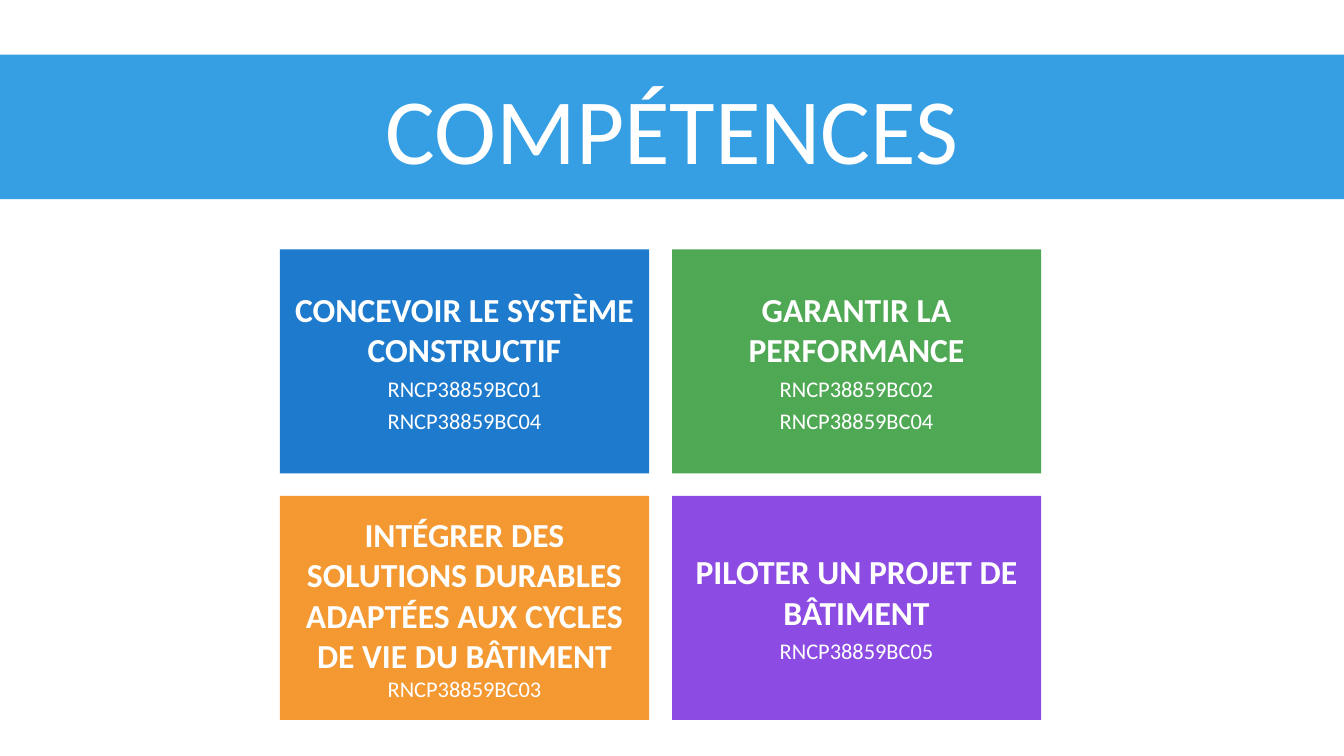
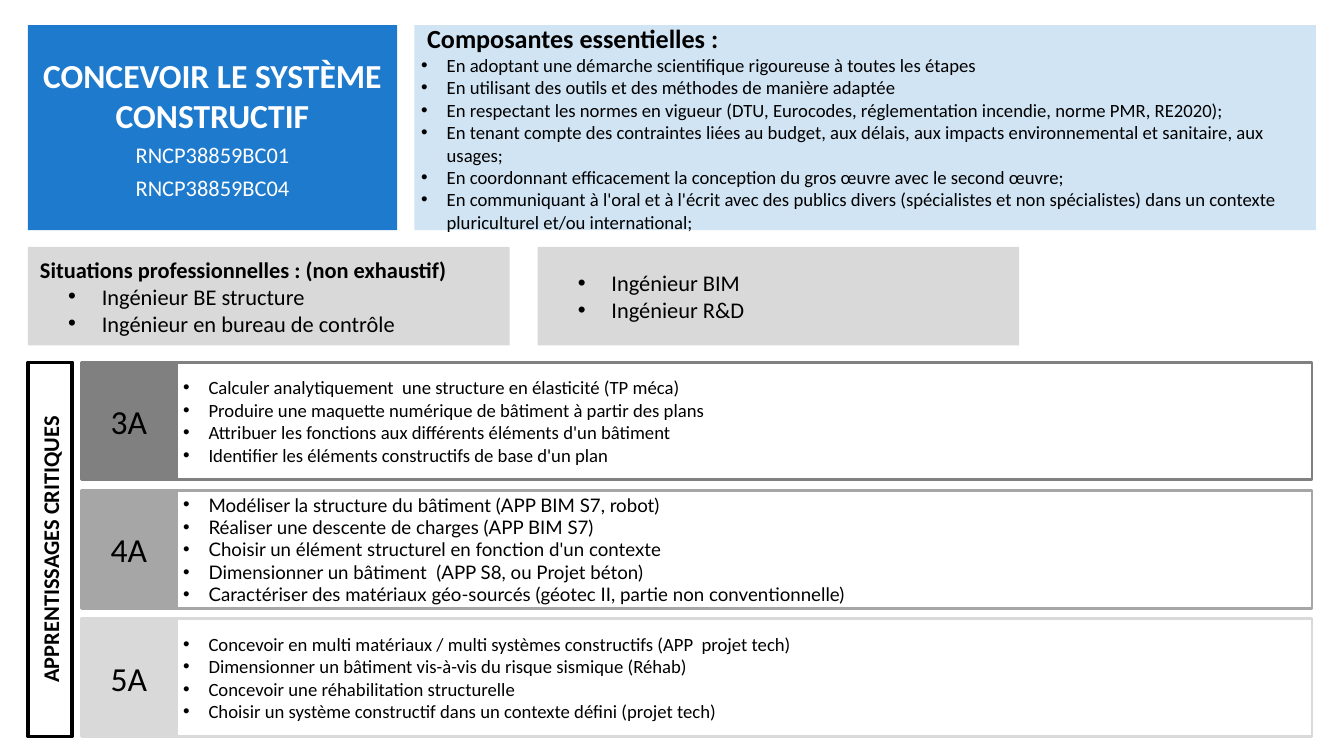
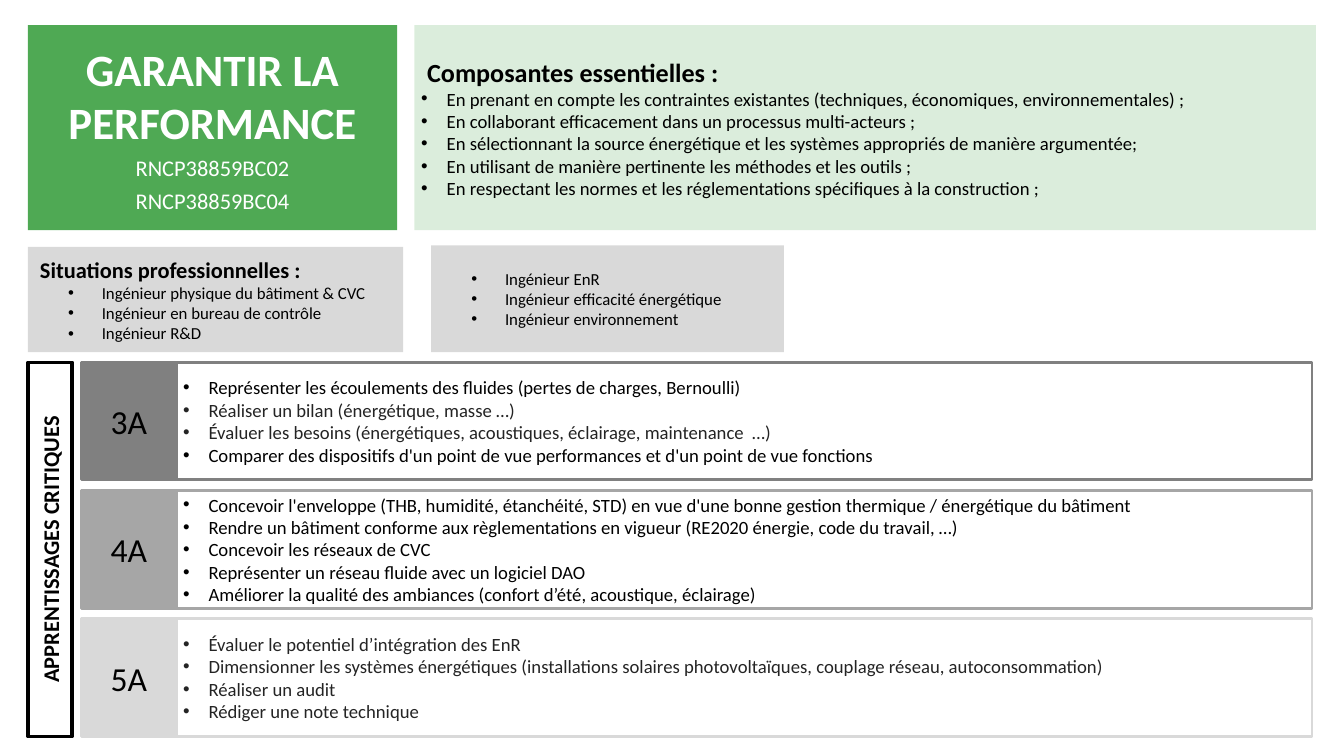
import lxml.etree
import pptx
import pptx.dml.color
import pptx.enum.shapes
import pptx.enum.text
import pptx.oxml.ns
import pptx.util

# Shared look: lengths are cells of a 240 x 135 grid
COLUMNS, ROWS = 240, 135
WIDTH, HEIGHT = pptx.util.Inches(20), pptx.util.Inches(11.25)
WHITE, BLACK, INK = "FFFFFF", "000000", "242424"
BAND, BLUE, GREEN, ORANGE, PURPLE = "369FE3", "1D7ACC", "4FA954", "F49831", "8C4BE2"
PANEL = "D9D9D9"
YEAR_COLORS = {"3A": "808080", "4A": "A6A6A6", "5A": PANEL}
CARD_WIDTH, CARD_HEIGHT = 65.9, 40
LEFT_EDGE = 5
YEARS_TOP, YEAR_HEIGHT, YEAR_STEP = 64.7, 21, 22.9

CENTER = pptx.enum.text.PP_ALIGN.CENTER
LEFT = pptx.enum.text.PP_ALIGN.LEFT

# Each style: size, bold, colour, alignment, space after, left margin, indent, bullet
STYLES = {
    "banner": dict(size=100, color=WHITE, align=CENTER),
    "skill": dict(size=36, bold=True, color=WHITE, align=CENTER, after=6),
    "code": dict(size=24, color=WHITE, align=CENTER, after=6),
    "essentials": dict(size=28, bold=True, margin=0.09),
    "situations": dict(size=24, bold=True, margin=0.08),
    "item": dict(size=20, margin=0.38, indent=-0.38, bullet="•"),
    "job": dict(size=24, margin=1, indent=-0.5, bullet="•"),
    "year": dict(size=36, align=CENTER),
    "side": dict(size=24, bold=True, align=CENTER),
}


def rgb(value):
    return pptx.dml.color.RGBColor.from_string(value)


def set_values(target, values):
    for name, value in values.items():
        setattr(target, name, value)


def lines(style, *texts, **changes):
    """Pair every text with a named style and its changes."""
    return [(text, {**STYLES[style], **changes}) for text in texts]


def skill_lines(title, codes, **changes):
    return lines("skill", title, **changes) + lines("code", *codes)


class Deck:
    def __init__(self):
        self.presentation = pptx.Presentation()
        set_values(self.presentation, dict(slide_width=WIDTH, slide_height=HEIGHT))
        self.slide = None

    def add_slide(self, layout):
        layouts = self.presentation.slide_layouts
        self.slide = self.presentation.slides.add_slide(layouts.get_by_name(layout))

    def place(self, shape, left, top, width, height):
        set_values(shape, dict(
            left=round(WIDTH * left / COLUMNS), top=round(HEIGHT * top / ROWS),
            width=round(WIDTH * width / COLUMNS), height=round(HEIGHT * height / ROWS)))

    def paint(self, shape, fill, line=None, line_width=3, alpha=None):
        shape.shadow.inherit = False
        shape.fill.solid()
        shape.fill.fore_color.rgb = rgb(fill)
        if alpha:
            color = shape.element.spPr.find(".//" + pptx.oxml.ns.qn("a:srgbClr"))
            lxml.etree.SubElement(color, pptx.oxml.ns.qn("a:alpha"), val=str(alpha * 1000))
        if line:
            shape.line.color.rgb = rgb(line)
            shape.line.width = pptx.util.Pt(line_width)
        else:
            shape.line.fill.background()

    def add_text(self, shape, content):
        frame = shape.text_frame
        set_values(frame, dict(
            word_wrap=True, auto_size=pptx.enum.text.MSO_AUTO_SIZE.NONE,
            vertical_anchor=pptx.enum.text.MSO_ANCHOR.MIDDLE))
        for index, (text, style) in enumerate(content):
            paragraph = frame.add_paragraph() if index else frame.paragraphs[0]
            self.format_paragraph(paragraph, style)
            run = paragraph.add_run()
            run.text = text
            set_values(run.font, dict(
                name=style.get("font", "Calibri"), size=pptx.util.Pt(style["size"]),
                bold=style.get("bold", False)))
            run.font.color.rgb = rgb(style.get("color", BLACK))

    def format_paragraph(self, paragraph, style):
        properties = paragraph._p.get_or_add_pPr()
        properties.set("marL", str(pptx.util.Inches(style.get("margin", 0))))
        properties.set("indent", str(pptx.util.Inches(style.get("indent", 0))))
        if "bullet" in style:
            marks = [("a:buFont", dict(typeface="Arial")),
                     ("a:buChar", dict(char=style["bullet"]))]
        else:
            marks = [("a:buNone", {})]
        for tag, attributes in marks:
            lxml.etree.SubElement(properties, pptx.oxml.ns.qn(tag), attributes)
        set_values(paragraph, dict(
            alignment=style.get("align", LEFT), line_spacing=1.0,
            space_before=pptx.util.Pt(0), space_after=pptx.util.Pt(style.get("after", 0))))

    def placeholder(self, index, box, content, **paint):
        shape = self.slide.placeholders[index]
        self.place(shape, *box)
        self.paint(shape, **paint)
        self.add_text(shape, content)

    def block(self, box, content, **paint):
        shape = self.slide.shapes.add_shape(
            pptx.enum.shapes.MSO_SHAPE.RECTANGLE, 0, 0, 0, 0)
        self.place(shape, *box)
        self.paint(shape, **paint)
        self.add_text(shape, content)
        return shape

    def upright_block(self, box, content, **paint):
        """Block read from bottom to top, turned about the middle of its box."""
        left, top, width, height = box
        shift = (width - height) / 2
        shape = self.block((left + shift, top - shift, height, width), content, **paint)
        shape.rotation = 270

    def skill_slide(self, color, skill, essentials, situations, years):
        self.add_slide("Title and Content")
        # Skill and its essential components
        self.placeholder(0, (LEFT_EDGE, 4.5, CARD_WIDTH, 36.6), skill, fill=color)
        self.placeholder(1, (74, 4.5, 161, 36.6),
                         lines("essentials", "Composantes essentielles :")
                         + lines("item", *essentials), fill=color, alpha=20)
        # Professional situations
        for box, content in situations:
            self.block(box, content, fill=PANEL)
        # Critical learning, year by year
        for row, (year, content) in enumerate(years.items()):
            top, gray = YEARS_TOP + row * YEAR_STEP, YEAR_COLORS[year]
            self.block((31.5, top, 202.8, YEAR_HEIGHT), content, fill=WHITE, line=gray)
            self.block((14.5, top, 17, YEAR_HEIGHT), lines("year", year),
                       fill=gray, line=gray)
        self.upright_block(
            (LEFT_EDGE, YEARS_TOP, 7.9, 2 * YEAR_STEP + YEAR_HEIGHT),
            lines("side", "APPRENTISSAGES CRITIQUES"),
            fill=WHITE, line=BLACK, line_width=3.75)


DESIGN = ("CONCEVOIR LE SYSTÈME CONSTRUCTIF", ["RNCP38859BC01", "RNCP38859BC04"])
PERFORMANCE = ("GARANTIR LA PERFORMANCE", ["RNCP38859BC02", "RNCP38859BC04"])
DURABLE = ("INTÉGRER DES SOLUTIONS DURABLES ADAPTÉES AUX CYCLES DE VIE DU BÂTIMENT",
           ["RNCP38859BC03"])
PROJECT = ("PILOTER UN PROJET DE BÂTIMENT", ["RNCP38859BC05"])


def main():
    deck = Deck()

    # Slide 1: the four skills
    deck.add_slide("Title Only")
    deck.placeholder(0, (0, 9.75, COLUMNS, 25.8), lines("banner", "COMPÉTENCES"), fill=BAND)
    cards = [(BLUE, skill_lines(*DESIGN)), (GREEN, skill_lines(*PERFORMANCE)),
             (ORANGE, skill_lines(*DURABLE, after=0)), (PURPLE, skill_lines(*PROJECT))]
    for index, (color, content) in enumerate(cards):
        row, column = divmod(index, 2)
        deck.block((50 + 70 * column, 44.55 + 44 * row, CARD_WIDTH, CARD_HEIGHT),
                   content, fill=color)

    # Slide 2: designing the building system
    deck.skill_slide(
        BLUE, skill_lines(*DESIGN),
        ["En adoptant une démarche scientifique rigoureuse à toutes les étapes",
         "En utilisant des outils et des méthodes de manière adaptée",
         "En respectant les normes en vigueur (DTU, Eurocodes, réglementation incendie, "
         "norme PMR, RE2020);",
         "En tenant compte des contraintes liées au budget, aux délais, aux impacts "
         "environnemental et sanitaire, aux usages;",
         "En coordonnant efficacement la conception du gros œuvre avec le second œuvre;",
         "En communiquant à l'oral et à l'écrit avec des publics divers (spécialistes et "
         "non spécialistes) dans un contexte pluriculturel et/ou international;"],
        [((LEFT_EDGE, 44.1, 86, 17.6),
          lines("situations", "Situations professionnelles : (non exhaustif)")
          + lines("job", "Ingénieur BE structure", "Ingénieur en bureau de contrôle")),
         ((96, 44.1, 86, 17.6), lines("job", "Ingénieur BIM", "Ingénieur R&D"))],
        {"3A": lines("item",
                     "Calculer analytiquement  une structure en élasticité (TP méca)",
                     "Produire une maquette numérique de bâtiment à partir des plans",
                     "Attribuer les fonctions aux différents éléments d'un bâtiment",
                     "Identifier les éléments constructifs de base d'un plan"),
         "4A": lines("item",
                     "Modéliser la structure du bâtiment (APP BIM S7, robot)",
                     "Réaliser une descente de charges (APP BIM S7)",
                     "Choisir un élément structurel en fonction d'un contexte",
                     "Dimensionner un bâtiment  (APP S8, ou Projet béton)",
                     "Caractériser des matériaux géo-sourcés (géotec II, partie non "
                     "conventionnelle)", font="Lato"),
         "5A": lines("item",
                     "Concevoir en multi matériaux / multi systèmes constructifs "
                     "(APP  projet tech)",
                     "Dimensionner un bâtiment vis-à-vis du risque sismique (Réhab)",
                     "Concevoir une réhabilitation structurelle",
                     "Choisir un système constructif dans un contexte défini "
                     "(projet tech)")})

    # Slide 3: guaranteeing performance
    deck.skill_slide(
        GREEN, skill_lines(*PERFORMANCE, size=48),
        ["En prenant en compte les contraintes existantes (techniques, économiques, "
         "environnementales) ;",
         "En collaborant efficacement dans un processus multi-acteurs ;",
         "En sélectionnant la source énergétique et les systèmes appropriés de manière "
         "argumentée;",
         "En utilisant de manière pertinente les méthodes et les outils ;",
         "En respectant les normes et les réglementations spécifiques à la construction ;"],
        [((LEFT_EDGE, 44.1, 67, 18.8),
          lines("situations", "Situations professionnelles :")
          + lines("job", "Ingénieur physique du bâtiment & CVC",
                  "Ingénieur en bureau de contrôle", "Ingénieur R&D", size=18)),
         ((77, 43.8, 63, 19.1),
          lines("job", "Ingénieur EnR", "Ingénieur efficacité énergétique",
                "Ingénieur environnement", size=18))],
        {"3A": lines("item", "Représenter les écoulements des fluides "
                             "(pertes de charges, Bernoulli)")
               + lines("item", "Réaliser un bilan (énergétique, masse …)",
                       "Évaluer les besoins (énergétiques, acoustiques, éclairage, "
                       "maintenance  …)", color=INK)
               + lines("item", "Comparer des dispositifs d'un point de vue performances "
                               "et d'un point de vue fonctions"),
         "4A": lines("item",
                     "Concevoir l'enveloppe (THB, humidité, étanchéité, STD) en vue d'une "
                     "bonne gestion thermique / énergétique du bâtiment",
                     "Rendre un bâtiment conforme aux règlementations en vigueur "
                     "(RE2020 énergie, code du travail, …)",
                     "Concevoir les réseaux de CVC",
                     "Représenter un réseau fluide avec un logiciel DAO",
                     "Améliorer la qualité des ambiances (confort d’été, acoustique, "
                     "éclairage)"),
         "5A": lines("item",
                     "Évaluer le potentiel d’intégration des EnR",
                     "Dimensionner les systèmes énergétiques (installations solaires "
                     "photovoltaïques, couplage réseau, autoconsommation)",
                     "Réaliser un audit",
                     "Rédiger une note technique", color=INK)})

    deck.presentation.save("out.pptx")


if __name__ == "__main__":
    main()
